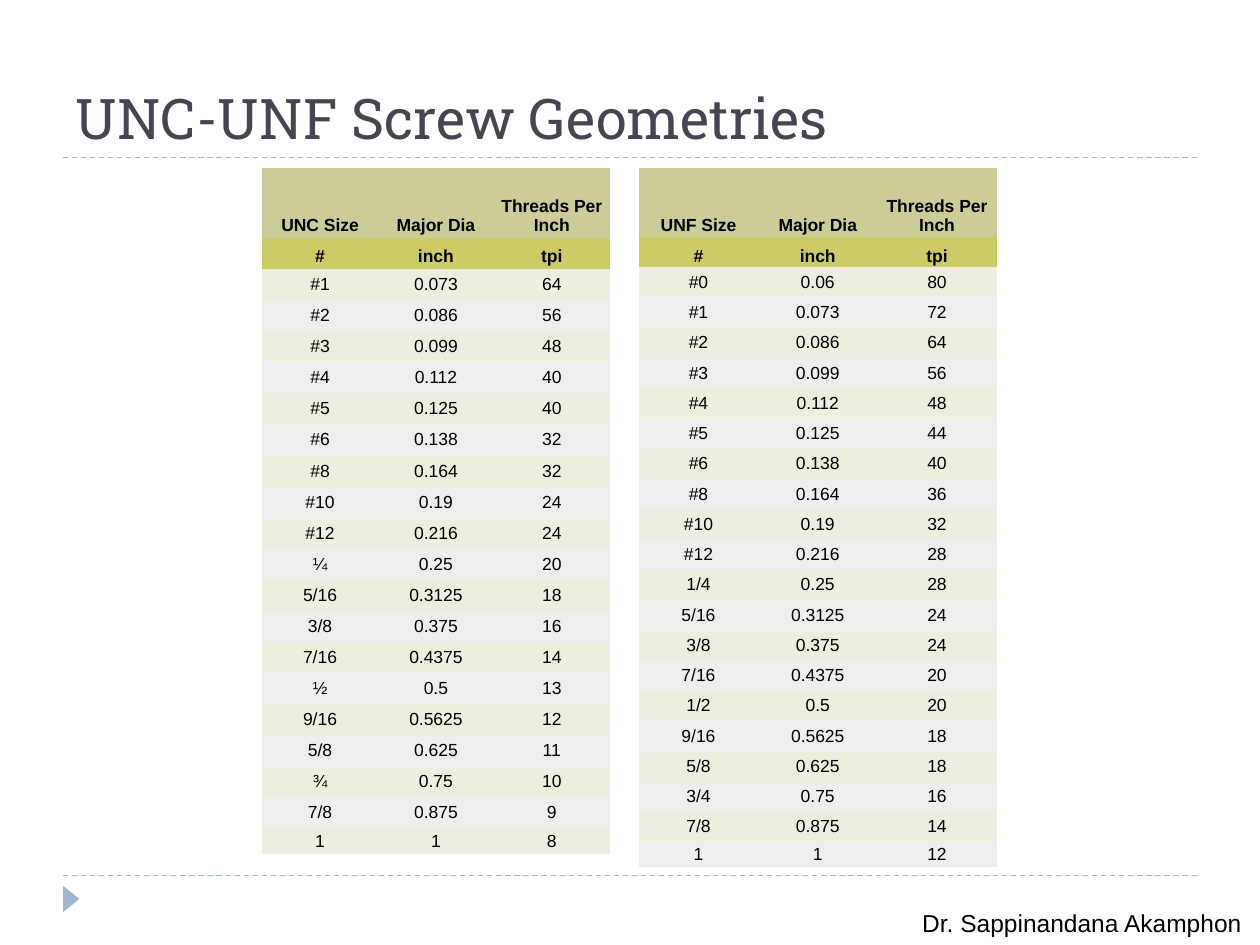
"""Build a slide with the UNC and UNF screw thread tables."""
from dataclasses import dataclass

from lxml import etree
from pptx import Presentation
from pptx.dml.color import RGBColor
from pptx.enum.dml import MSO_LINE
from pptx.enum.shapes import MSO_CONNECTOR, MSO_SHAPE
from pptx.enum.text import MSO_ANCHOR, PP_ALIGN
from pptx.oxml.ns import qn
from pptx.slide import Slide
from pptx.text.text import _Paragraph
from pptx.util import Inches, Pt

DASH = MSO_LINE.DASH
STRAIGHT = MSO_CONNECTOR.STRAIGHT
TRIANGLE = MSO_SHAPE.ISOSCELES_TRIANGLE
BOTTOM, MIDDLE = MSO_ANCHOR.BOTTOM, MSO_ANCHOR.MIDDLE
LEFT, CENTER = PP_ALIGN.LEFT, PP_ALIGN.CENTER

BLACK = RGBColor(0x00, 0x00, 0x00)
SLATE = RGBColor(0x46, 0x46, 0x53)
BLUE = RGBColor(0x9F, 0xB8, 0xCD)
KHAKI = RGBColor(0xCC, 0xCC, 0x99)
OLIVE = RGBColor(0xCC, 0xCC, 0x66)
CREAM = RGBColor(0xEE, 0xEE, 0xE0)
GRAY = RGBColor(0xEE, 0xEE, 0xEE)
PLAIN = "{2D5ABB26-0587-4C30-8999-92F81FD0307C}"

DIAS = ("0.073 0.086 0.099 0.112 0.125 0.138 0.164 0.19 0.216 0.25 "
        "0.3125 0.375 0.4375 0.5 0.5625 0.625 0.75 0.875 1").split()


@dataclass
class Grid:
    name: str
    left: float
    width: float
    head: float
    body: float
    last: float
    pad_x: float
    pad_y: float
    sizes: list[str]
    dias: list[str]
    tpi: list[str]


GRIDS = [
    Grid("UNC", 2.08, 2.76, 0.56, 4.69, 0.14, 0.04, 0.02,
         "#1 #2 #3 #4 #5 #6 #8 #10 #12 ¼ 5/16 3/8 7/16 ½ 9/16 5/8 ¾ 7/8 1".split(),
         DIAS,
         "64 56 48 40 40 32 32 24 24 20 18 16 14 13 12 11 10 9 8".split()),
    Grid("UNF", 5.07, 2.84, 0.55, 4.81, 0.2, 0.03, 0.01,
         ("#0 #1 #2 #3 #4 #5 #6 #8 #10 #12 1/4 5/16 3/8 7/16 1/2 "
          "9/16 5/8 3/4 7/8 1").split(),
         ["0.06", *DIAS],
         "80 72 64 56 48 44 40 36 32 28 28 24 24 20 20 18 18 16 14 12".split()),
]


def add_run(para: _Paragraph, text: str, size: float, font: str = "Arial",
            color: RGBColor = BLACK, bold: bool = False) -> None:
    run = para.add_run()
    run.text = text
    run.font.size = Pt(size)
    run.font.name = font
    run.font.color.rgb = color
    run.font.bold = bold


def add_rule(slide: Slide, top: float) -> None:
    rule = slide.shapes.add_connector(
        STRAIGHT, Inches(0.5), Inches(top), Inches(9.5), Inches(top))
    rule.line.color.rgb = BLUE
    rule.line.width = Pt(0.75)
    rule.line.dash_style = DASH
    etree.SubElement(rule._element.spPr, qn("a:effectLst"))


def add_grid(slide: Slide, grid: Grid) -> None:
    rows = [(f"{grid.name} Size", "Major Dia", "Threads Per Inch"),
            ("#", "inch", "tpi"), *zip(grid.sizes, grid.dias, grid.tpi)]
    step = grid.body / (len(rows) - 2)
    highs = [grid.head, *[step] * (len(rows) - 2), grid.last]
    table = slide.shapes.add_table(
        len(rows), 3, Inches(grid.left), Inches(1.33),
        Inches(grid.width), Inches(sum(highs))).table
    table._tbl.tblPr.find(qn("a:tableStyleId")).text = PLAIN
    for col in table.columns:
        col.width = Inches(grid.width / 3)
    for i, (row, high) in enumerate(zip(rows, highs)):
        table.rows[i].height = Inches(high)
        for j, text in enumerate(row):
            cell = table.cell(i, j)
            cell.fill.solid()
            cell.fill.fore_color.rgb = (
                (KHAKI, OLIVE)[i] if i < 2 else (CREAM, GRAY)[i % 2])
            cell.margin_left = cell.margin_right = Inches(grid.pad_x)
            cell.margin_top = cell.margin_bottom = Inches(grid.pad_y)
            cell.vertical_anchor = BOTTOM if i < 2 else MIDDLE
            para = cell.text_frame.paragraphs[0]
            para.alignment = CENTER
            add_run(para, text, 10, bold=i < 2)


def add_title(slide: Slide) -> None:
    title = slide.shapes.title
    title.left, title.top = Inches(0.5), Inches(0.17)
    title.width, title.height = Inches(9), Inches(1.08)
    title.text_frame.vertical_anchor = BOTTOM
    para = title.text_frame.paragraphs[0]
    para.alignment = LEFT
    add_run(para, "UNC-UNF Screw Geometries", 32, "Roboto Slab", SLATE)


def add_foot(slide: Slide) -> None:
    mark = slide.shapes.add_shape(
        TRIANGLE, Inches(0.46), Inches(7.07), Inches(0.21), Inches(0.13))
    mark.rotation = 90
    mark.shadow.inherit = False
    mark.fill.solid()
    mark.fill.fore_color.rgb = BLUE
    mark.line.fill.background()
    box = slide.shapes.add_textbox(
        Inches(7.22), Inches(7.16), Inches(2.75), Inches(0.34))
    add_run(box.text_frame.paragraphs[0], "Dr. Sappinandana Akamphon", 14)


def main() -> None:
    deck = Presentation()
    deck.slide_width, deck.slide_height = Inches(10), Inches(7.5)
    slide = deck.slides.add_slide(deck.slide_layouts[5])
    for top in (6.95, 1.25):
        add_rule(slide, top)
    add_foot(slide)
    add_title(slide)
    for grid in GRIDS:
        add_grid(slide, grid)
    deck.save("out.pptx")


if __name__ == "__main__":
    main()
